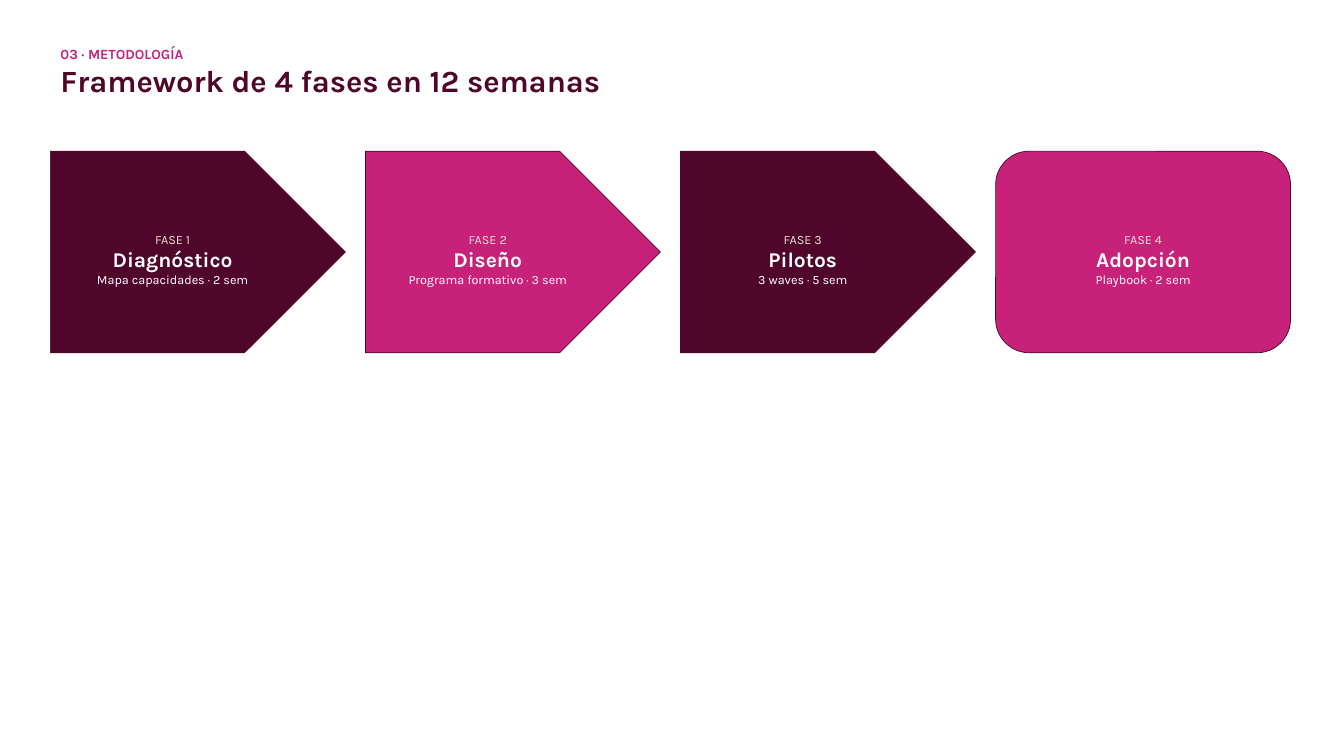
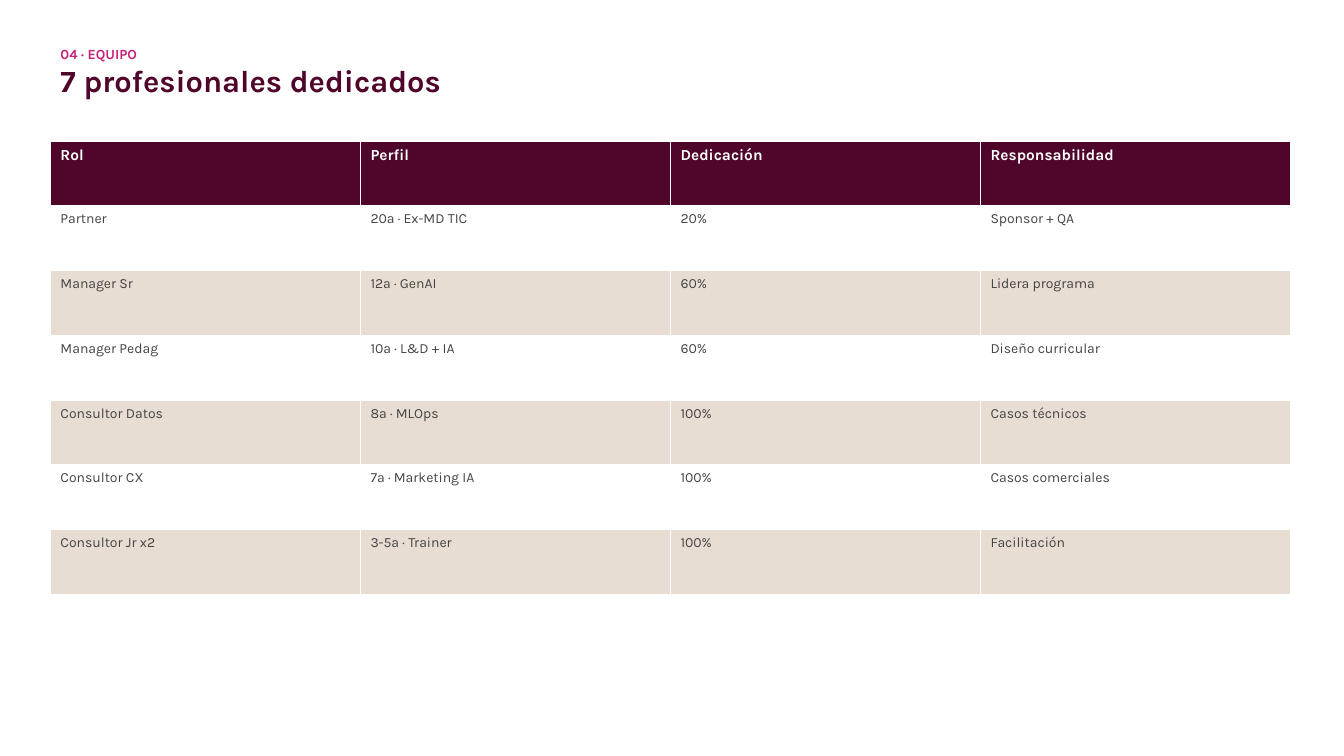
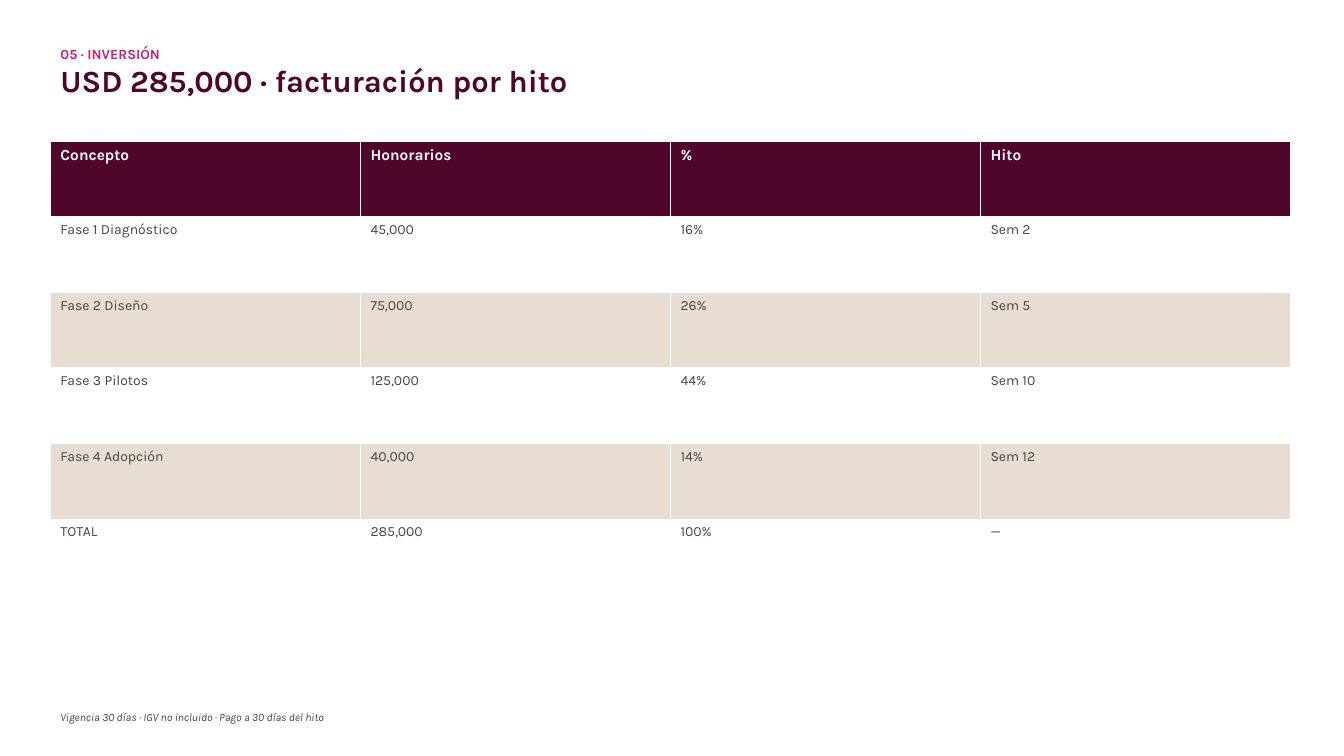
from pptx import Presentation
from pptx.dml.color import RGBColor
from pptx.enum.shapes import MSO_SHAPE
from pptx.enum.text import MSO_ANCHOR, MSO_AUTO_SIZE, PP_ALIGN
from pptx.util import Inches, Pt

ARROW = MSO_SHAPE.PENTAGON
ROUNDED = MSO_SHAPE.ROUNDED_RECTANGLE
TOP, MIDDLE = MSO_ANCHOR.TOP, MSO_ANCHOR.MIDDLE
GROW = MSO_AUTO_SIZE.SHAPE_TO_FIT_TEXT
LEFT, CENTER = PP_ALIGN.LEFT, PP_ALIGN.CENTER

FONT = "Karla"
PLUM, PINK, SAND, GREY, WHITE = "4F062A", "C8217A", "E8DDD2", "444444", "FFFFFF"
TITLE_ONLY = 5

HEADER_BOX = (0.5, 0.4, 12.3, 0.5)
PHASES_BOX = (0.5, 1.5, 12.3, 2)
TABLE_BOX = (0.5, 1.4, 12.3, 4.5)
NOTE_BOX = (0.5, 7, 12.3, 0.3)
PHASE_GAP = 0.2

KICKER = {"size": Pt(10), "color": PINK, "bold": True}
TITLE = {"size": Pt(22), "color": PLUM, "bold": True}
PHASE_LABEL = {"size": Pt(9), "color": SAND, "bold": False}
PHASE_NAME = {"size": Pt(15), "color": WHITE, "bold": True}
PHASE_DETAIL = {"size": Pt(9), "color": WHITE, "bold": False}
TABLE_HEAD = {"size": Pt(11), "color": WHITE, "bold": True}
TABLE_BODY = {"size": Pt(10), "color": GREY, "bold": False}
NOTE = {"size": Pt(8), "color": GREY, "italic": True}

PHASES = [
    ("Diagnóstico", "Mapa capacidades · 2 sem"),
    ("Diseño", "Programa formativo · 3 sem"),
    ("Pilotos", "3 waves · 5 sem"),
    ("Adopción", "Playbook · 2 sem"),
]
TEAM = [
    ("Rol", "Perfil", "Dedicación", "Responsabilidad"),
    ("Partner", "20a · Ex-MD TIC", "20%", "Sponsor + QA"),
    ("Manager Sr", "12a · GenAI", "60%", "Lidera programa"),
    ("Manager Pedag", "10a · L&D + IA", "60%", "Diseño curricular"),
    ("Consultor Datos", "8a · MLOps", "100%", "Casos técnicos"),
    ("Consultor CX", "7a · Marketing IA", "100%", "Casos comerciales"),
    ("Consultor Jr x2", "3-5a · Trainer", "100%", "Facilitación"),
]
FEES = [
    ("Concepto", "Honorarios", "%", "Hito"),
    ("Fase 1 Diagnóstico", "45,000", "16%", "Sem 2"),
    ("Fase 2 Diseño", "75,000", "26%", "Sem 5"),
    ("Fase 3 Pilotos", "125,000", "44%", "Sem 10"),
    ("Fase 4 Adopción", "40,000", "14%", "Sem 12"),
    ("TOTAL", "285,000", "100%", "—"),
]


def rgb(value):
    return RGBColor.from_string(value)


def inches(box):
    return [Inches(length) for length in box]


def paint(filled, color):
    filled.fill.solid()
    filled.fill.fore_color.rgb = rgb(color)


def write(frame, lines, align=LEFT):
    for index, (text, style) in enumerate(lines):
        paragraph = frame.add_paragraph() if index else frame.paragraphs[0]
        paragraph.alignment = align
        run = paragraph.add_run()
        run.text = text
        run.font.name = FONT
        for attribute, value in style.items():
            if attribute == "color":
                run.font.color.rgb = rgb(value)
            else:
                setattr(run.font, attribute, value)


def add_header_slide(deck, kicker, title):
    slide = deck.slides.add_slide(deck.slide_layouts[TITLE_ONLY])
    header = slide.shapes.title
    header.left, header.top, header.width, header.height = inches(HEADER_BOX)
    frame = header.text_frame
    frame.vertical_anchor = TOP
    frame.auto_size = GROW
    frame.word_wrap = False
    write(frame, [(kicker, KICKER), (title, TITLE)])
    return slide


def add_phases(slide, box, phases):
    left, top, width, height = box
    phase_width = (width - PHASE_GAP * (len(phases) - 1)) / len(phases)
    for index, (name, detail) in enumerate(phases):
        outline = ROUNDED if index == len(phases) - 1 else ARROW
        phase_left = left + index * (phase_width + PHASE_GAP)
        phase = slide.shapes.add_shape(
            outline, *inches((phase_left, top, phase_width, height)))
        phase.shadow.inherit = False
        paint(phase, PINK if index % 2 else PLUM)
        phase.line.color.rgb = rgb(PLUM)
        phase.line.width = Pt(0.5)
        frame = phase.text_frame
        frame.word_wrap = True
        frame.vertical_anchor = MIDDLE
        frame.margin_left = frame.margin_top = frame.margin_right = Inches(0.2)
        frame.margin_bottom = Inches(0.05)
        write(frame, [(f"FASE {index + 1}", PHASE_LABEL),
                      (name, PHASE_NAME),
                      (detail, PHASE_DETAIL)], CENTER)


def add_grid(slide, box, rows):
    grid = slide.shapes.add_table(len(rows), len(rows[0]), *inches(box)).table
    for row_index, row in enumerate(rows):
        band = SAND if row_index % 2 == 0 else WHITE
        fill, style = (band, TABLE_BODY) if row_index else (PLUM, TABLE_HEAD)
        for column_index, text in enumerate(row):
            cell = grid.cell(row_index, column_index)
            paint(cell, fill)
            write(cell.text_frame, [(text, style)])


def add_note(slide, box, text):
    frame = slide.shapes.add_textbox(*inches(box)).text_frame
    frame.auto_size = GROW
    frame.word_wrap = False
    write(frame, [(text, NOTE)])


def main():
    deck = Presentation()
    deck.slide_width, deck.slide_height = Inches(13.33), Inches(7.5)

    method = add_header_slide(
        deck, "03 · METODOLOGÍA", "Framework de 4 fases en 12 semanas")
    add_phases(method, PHASES_BOX, PHASES)

    team = add_header_slide(deck, "04 · EQUIPO", "7 profesionales dedicados")
    add_grid(team, TABLE_BOX, TEAM)

    investment = add_header_slide(
        deck, "05 · INVERSIÓN", "USD 285,000 · facturación por hito")
    add_grid(investment, TABLE_BOX, FEES)
    add_note(investment, NOTE_BOX,
             "Vigencia 30 días · IGV no incluido · Pago a 30 días del hito")

    deck.save("out.pptx")


if __name__ == "__main__":
    main()
